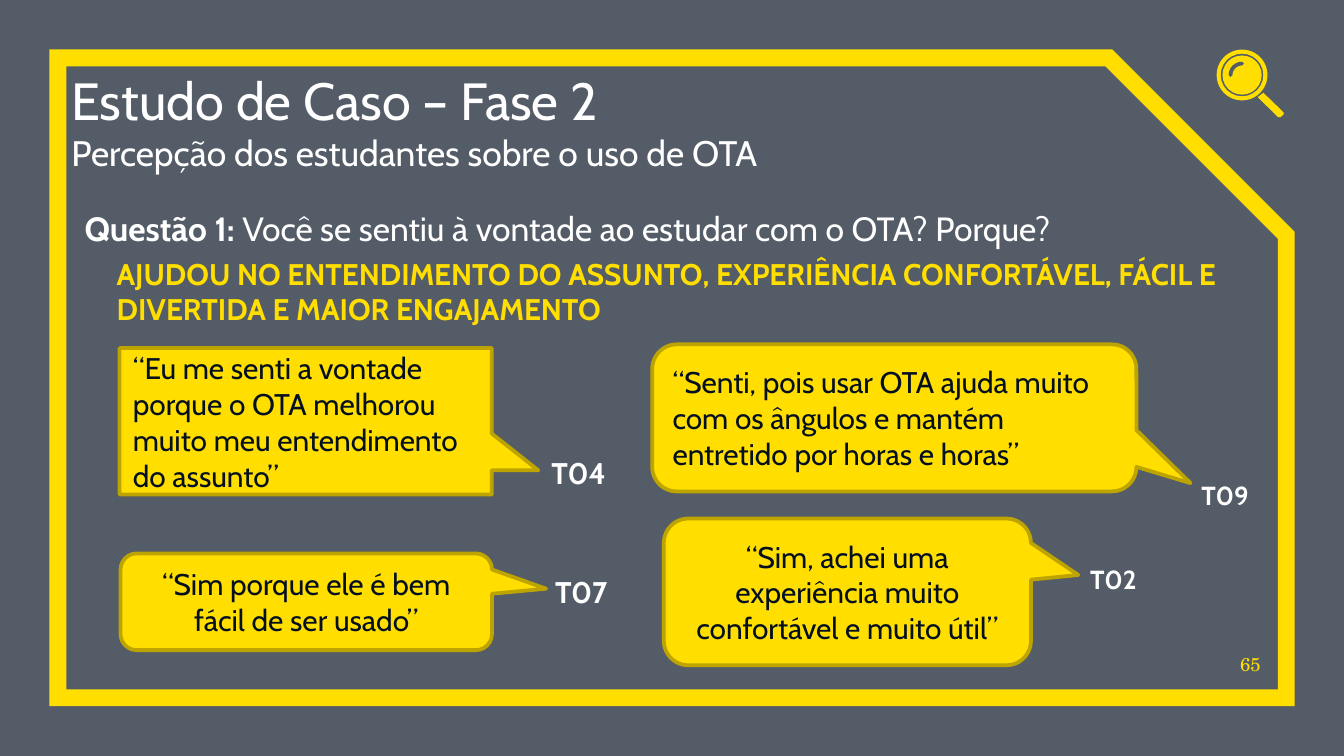
from dataclasses import dataclass

from lxml import etree
from pptx import Presentation
from pptx.dml.color import RGBColor
from pptx.enum import shapes, text
from pptx.oxml import ns
from pptx.util import Pt

KIND = shapes.MSO_SHAPE
ANCHOR = text.MSO_ANCHOR
ALIGN = text.PP_ALIGN


@dataclass(frozen=True)
class Theme:
    back: str = "545C67"
    gold: str = "FFDE00"
    edge: str = "BDA400"
    ink: str = "040F20"
    white: str = "FFFFFF"
    face: str = "Cabin"
    serif: str = "TeX Gyre Schola"
    title: int = 28
    sub: int = 19
    ask: int = 18
    body: int = 16
    tag: int = 14
    page: int = 10


def rgb(code):
    return RGBColor.from_string(code)


def shade(run):
    """Give the letters of a run a soft shadow."""
    props = run.font._element
    effects = etree.Element(ns.qn("a:effectLst"))
    outer = etree.SubElement(effects, ns.qn("a:outerShdw"), blurRad="38100",
                             dist="38100", dir="2700000", algn="tl")
    color = etree.SubElement(outer, ns.qn("a:srgbClr"), val="000000")
    etree.SubElement(color, ns.qn("a:alpha"), val="43000")
    props.find(ns.qn("a:solidFill")).addnext(effects)


def write(frame, lines, color, size=16, face="Cabin", align=ALIGN.LEFT,
          anchor=ANCHOR.TOP, inset=True, shadow=False):
    """Fill a frame; each line is a list of (words, format) runs."""
    frame.word_wrap = True
    frame.vertical_anchor = anchor
    if not inset:
        frame.margin_left = frame.margin_right = 0
        frame.margin_top = frame.margin_bottom = 0
    for i, line in enumerate(lines):
        para = frame.add_paragraph() if i else frame.paragraphs[0]
        para.alignment = align
        for words, form in line:
            run = para.add_run()
            run.text = words
            font = run.font
            font.name = face
            font.size = Pt(form.get("size", size))
            font.bold = form.get("bold", False)
            font.color.rgb = rgb(color)
            if shadow:
                shade(run)


class Deck:
    def __init__(self, theme):
        self.theme = theme
        self.show = Presentation()
        self.show.slide_width, self.show.slide_height = Pt(720), Pt(405)
        self.slide = self.show.slides.add_slide(self.show.slide_layouts[6])
        fill = self.slide.background.fill
        fill.solid()
        fill.fore_color.rgb = rgb(theme.back)

    def paint(self, shape, fill=None, line=None, width=1):
        shape.shadow.inherit = False
        if fill:
            shape.fill.solid()
            shape.fill.fore_color.rgb = rgb(fill)
        else:
            shape.fill.background()
        if line:
            shape.line.color.rgb = rgb(line)
            shape.line.width = Pt(width)
        else:
            shape.line.fill.background()
        return shape

    def shape(self, kind, box, adjust=(), **look):
        shape = self.slide.shapes.add_shape(kind, *map(Pt, box))
        for i, value in enumerate(adjust):
            shape.adjustments[i] = value
        return self.paint(shape, **look)

    def label(self, box, lines, color, **form):
        frame = self.slide.shapes.add_textbox(*map(Pt, box)).text_frame
        write(frame, lines, color, **form)

    def quote(self, kind, box, tip, words, align):
        """Draw a callout whose tip is given as a share of its size."""
        th = self.theme
        shape = self.shape(kind, box, tip, fill=th.gold, line=th.edge, width=2)
        write(shape.text_frame, [[(words, {})]], th.ink, size=th.body,
              align=align, anchor=ANCHOR.MIDDLE)

    def tag(self, left, top, words, size):
        self.label((left, top, 45.4, 25), [[(words, {"bold": True})]],
                   self.theme.white, size=size, align=ALIGN.CENTER)

    def frame(self):
        shape = self.shape(KIND.SNIP_1_RECTANGLE, (31, 31, 658, 342.8), (0.277,),
                           line=self.theme.gold, width=9)
        etree.SubElement(shape.line._ln, ns.qn("a:miter"), lim="800000")

    def lens(self, x, y):
        """Draw the magnifier with its glass centred on x, y."""
        gold = self.theme.gold

        def ring(kind, r, adjust=(), **look):
            return self.shape(kind, (x - r, y - r, 2 * r, 2 * r), adjust, **look)

        ring(KIND.DONUT, 13.6, (0.08,), fill=gold)
        ring(KIND.OVAL, 10.5, fill=gold)
        glint = ring(KIND.ARC, 6.2, line=self.theme.back, width=2)
        glint.rotation = 270
        glint.line._ln.set("cap", "rnd")
        grip = [(11.4, 9.5), (8.4, 11.9), (19.3, 22.6), (20.6, 22.6),
                (22.2, 21.2), (22.2, 20)]
        points = [(Pt(x + dx), Pt(y + dy)) for dx, dy in grip]
        path = self.slide.shapes.build_freeform(*points[0])
        path.add_line_segments(points[1:], close=True)
        self.paint(path.convert_to_shape(), fill=gold)


def main():
    th = Theme()
    deck = Deck(th)
    deck.frame()
    deck.label((656, 341.3, 19.4, 20.2), [[("65", {})]], th.gold, size=th.page,
               face=th.serif, align=ALIGN.RIGHT, anchor=ANCHOR.BOTTOM, inset=False)
    deck.lens(665.4, 40.2)

    deck.label((38.2, 38.9, 605.5, 54),
               [[("Estudo de Caso – Fase 2", {"size": th.title})],
                [("Percepção dos estudantes sobre o uso de OTA", {"size": th.sub})]],
               th.white, anchor=ANCHOR.BOTTOM, inset=False, shadow=True)
    deck.label((38.2, 108, 581, 29),
               [[("Questão 1: ", {"bold": True}),
                 ("Você se sentiu à vontade ao estudar com o OTA? Porque?", {})]],
               th.white, size=th.ask)
    deck.label((55.4, 133.2, 610, 46),
               [[("AJUDOU NO ENTENDIMENTO DO ASSUNTO, EXPERIÊNCIA CONFORTÁVEL, "
                  "FÁCIL E DIVERTIDA E MAIOR ENGAJAMENTO", {"bold": True})]],
               th.gold, size=th.body)

    square, soft = KIND.RECTANGULAR_CALLOUT, KIND.ROUNDED_RECTANGULAR_CALLOUT
    quotes = [
        (square, (64.1, 186.5, 199.4, 78.5), (0.625, 0.334), ALIGN.LEFT,
         "“Eu me senti a vontade porque o OTA melhorou muito meu "
         "entendimento do assunto”", (287.3, 239.8, "T04", th.body)),
        (soft, (349.4, 184.5, 259.4, 78.8), (0.612, 0.444), ALIGN.LEFT,
         "“Senti, pois usar OTA ajuda muito com os ângulos e mantém "
         "entretido por horas e horas”", (633.6, 253.4, "T09", th.tag)),
        (soft, (64.6, 296.5, 199, 51.8), (0.646, -0.135), ALIGN.CENTER,
         "“Sim porque ele é bem fácil de ser usado”",
         (288.7, 303.8, "T07", th.body)),
        (soft, (355.6, 277.8, 196.7, 78.6), (0.629, -0.115), ALIGN.CENTER,
         "“Sim, achei uma experiência muito confortável e muito útil”",
         (573.8, 298.1, "T02", th.tag)),
    ]
    for kind, box, tip, align, words, tag in quotes:
        deck.quote(kind, box, tip, words, align)
        deck.tag(*tag)
    deck.show.save("out.pptx")


if __name__ == "__main__":
    main()
